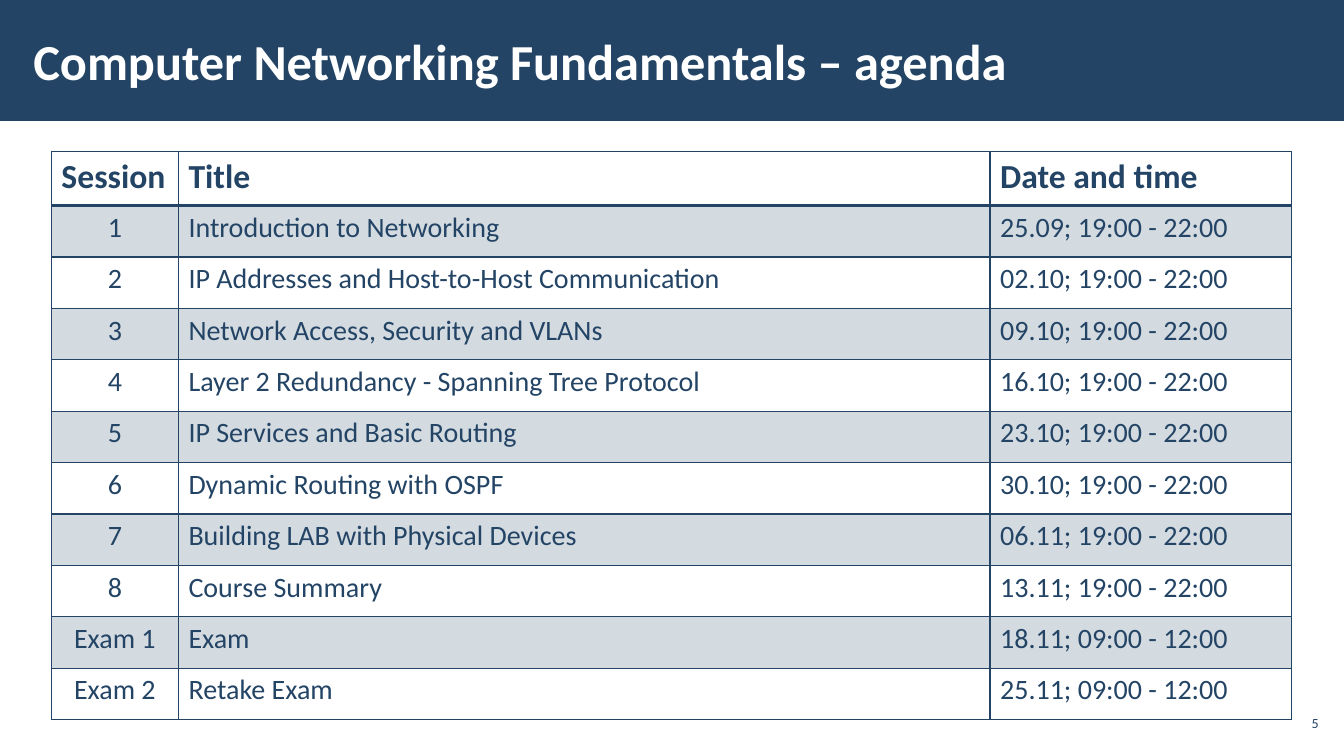
from lxml.etree import SubElement
from pptx import Presentation
from pptx.dml.color import RGBColor
from pptx.enum.shapes import MSO_SHAPE
from pptx.enum.text import MSO_ANCHOR, MSO_AUTO_SIZE, PP_ALIGN
from pptx.oxml.ns import qn
from pptx.util import Inches, Pt

TITLE = "Computer Networking Fundamentals – agenda"
PAGE_NUMBER = "5"
HEADINGS = ("Session", "Title", "Date and time")
EVENING = "19:00 - 22:00"
MORNING = "09:00 - 12:00"
SESSIONS = [
    ("1", "Introduction to Networking", "25.09", EVENING),
    ("2", "IP Addresses and Host-to-Host Communication", "02.10", EVENING),
    ("3", "Network Access, Security and VLANs", "09.10", EVENING),
    ("4", "Layer 2 Redundancy - Spanning Tree Protocol", "16.10", EVENING),
    ("5", "IP Services and Basic Routing", "23.10", EVENING),
    ("6", "Dynamic Routing with OSPF", "30.10", EVENING),
    ("7", "Building LAB with Physical Devices", "06.11", EVENING),
    ("8", "Course Summary", "13.11", EVENING),
    ("Exam 1", "Exam", "18.11", MORNING),
    ("Exam 2", "Retake Exam", "25.11", MORNING),
]

FONT = "Calibri"
NAVY, PALE_NAVY, WHITE = "234465", "D3DAE0", "FFFFFF"
SLIDE_WIDTH, SLIDE_HEIGHT = 13.33, 7.5
BAND_HEIGHT = 1.2
TABLE_LEFT, TABLE_TOP = 0.51, 1.5
COLUMN_WIDTHS = (1.26, 8.05, 2.99)
HEADER_HEIGHT, ROW_HEIGHT = 0.54, 0.51


def color(value):
    return RGBColor.from_string(value)


def write(text_frame, text, size, font_color, bold=False, alignment=PP_ALIGN.LEFT):
    paragraph = text_frame.paragraphs[0]
    paragraph.alignment = alignment
    run = paragraph.add_run()
    run.text = text
    run.font.name = FONT
    run.font.size = Pt(size)
    run.font.bold = bold
    run.font.color.rgb = color(font_color)


def set_margins(text_frame, horizontal, vertical):
    text_frame.margin_left = text_frame.margin_right = Inches(horizontal)
    text_frame.margin_top = text_frame.margin_bottom = Inches(vertical)


def add_borders(cell, top, bottom):
    properties = cell._tc.get_or_add_tcPr()
    for side, width in (("L", 1), ("R", 1), ("T", top), ("B", bottom)):
        line = SubElement(properties, qn(f"a:ln{side}"), w=str(Pt(width)))
        fill = SubElement(line, qn("a:solidFill"))
        SubElement(fill, qn("a:srgbClr"), val=NAVY)


def add_title(slide):
    band = slide.shapes.add_shape(
        MSO_SHAPE.RECTANGLE, 0, 0, Inches(SLIDE_WIDTH), Inches(BAND_HEIGHT)
    )
    band.shadow.inherit = False
    band.fill.solid()
    band.fill.fore_color.rgb = color(NAVY)
    band.line.fill.background()
    title = slide.shapes.title
    title._element.addprevious(band._element)
    title.left, title.top = Inches(0.21), Inches(0.11)
    title.width, title.height = Inches(10.39), Inches(0.97)
    text_frame = title.text_frame
    text_frame.auto_size = MSO_AUTO_SIZE.NONE
    text_frame.vertical_anchor = MSO_ANCHOR.MIDDLE
    set_margins(text_frame, 0.12, 0.04)
    write(text_frame, TITLE, 36, WHITE, bold=True)


def add_page_number(slide):
    box = slide.shapes.add_textbox(Inches(12.65), Inches(7), Inches(0.47), Inches(0.34))
    text_frame = box.text_frame
    text_frame.word_wrap = True
    text_frame.vertical_anchor = MSO_ANCHOR.MIDDLE
    set_margins(text_frame, 0.04, 0.04)
    write(text_frame, PAGE_NUMBER, 10, NAVY, alignment=PP_ALIGN.RIGHT)


def add_agenda(slide):
    rows = [HEADINGS] + [
        (session, topic, f"{date}; {hours}") for session, topic, date, hours in SESSIONS
    ]
    heights = [HEADER_HEIGHT] + [ROW_HEIGHT] * len(SESSIONS)
    table = slide.shapes.add_table(
        len(rows), len(HEADINGS), Inches(TABLE_LEFT), Inches(TABLE_TOP),
        Inches(sum(COLUMN_WIDTHS)), Inches(sum(heights)),
    ).table
    table.horz_banding = False
    for column, width in zip(table.columns, COLUMN_WIDTHS):
        column.width = Inches(width)
    for row_index, values in enumerate(rows):
        table.rows[row_index].height = Inches(heights[row_index])
        is_header = row_index == 0
        for column_index, value in enumerate(values):
            cell = table.cell(row_index, column_index)
            add_borders(cell, 2 if row_index == 1 else 1, 2 if is_header else 1)
            if row_index % 2:
                cell.fill.solid()
                cell.fill.fore_color.rgb = color(PALE_NAVY)
            else:
                cell.fill.background()
            centered = column_index == 0 and not is_header
            write(
                cell.text_frame, value, 24 if is_header else 20, NAVY, bold=is_header,
                alignment=PP_ALIGN.CENTER if centered else PP_ALIGN.LEFT,
            )


def main():
    presentation = Presentation()
    presentation.slide_width = Inches(SLIDE_WIDTH)
    presentation.slide_height = Inches(SLIDE_HEIGHT)
    slide = presentation.slides.add_slide(presentation.slide_layouts.get_by_name("Title Only"))
    add_title(slide)
    add_page_number(slide)
    add_agenda(slide)
    presentation.save("out.pptx")


if __name__ == "__main__":
    main()
